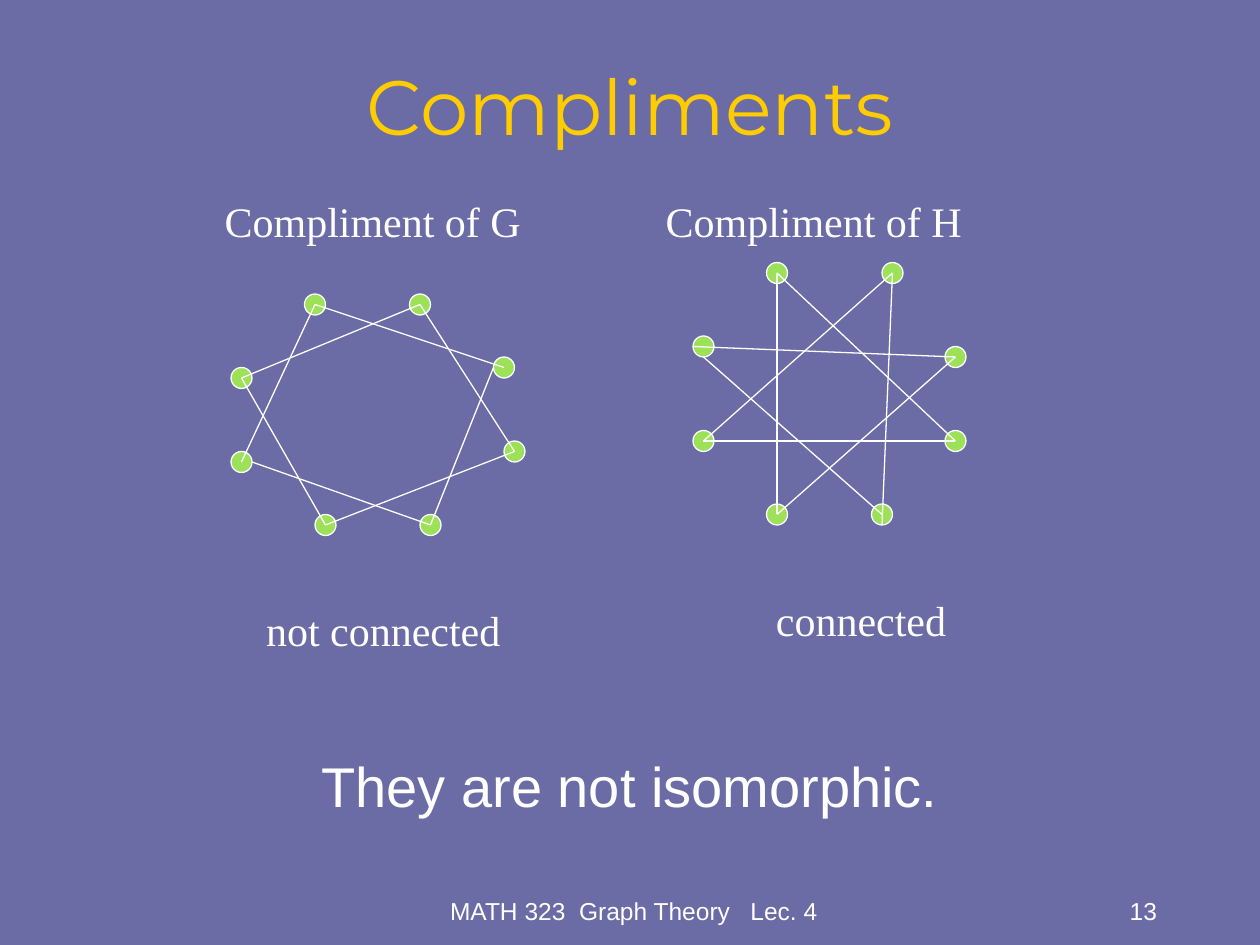
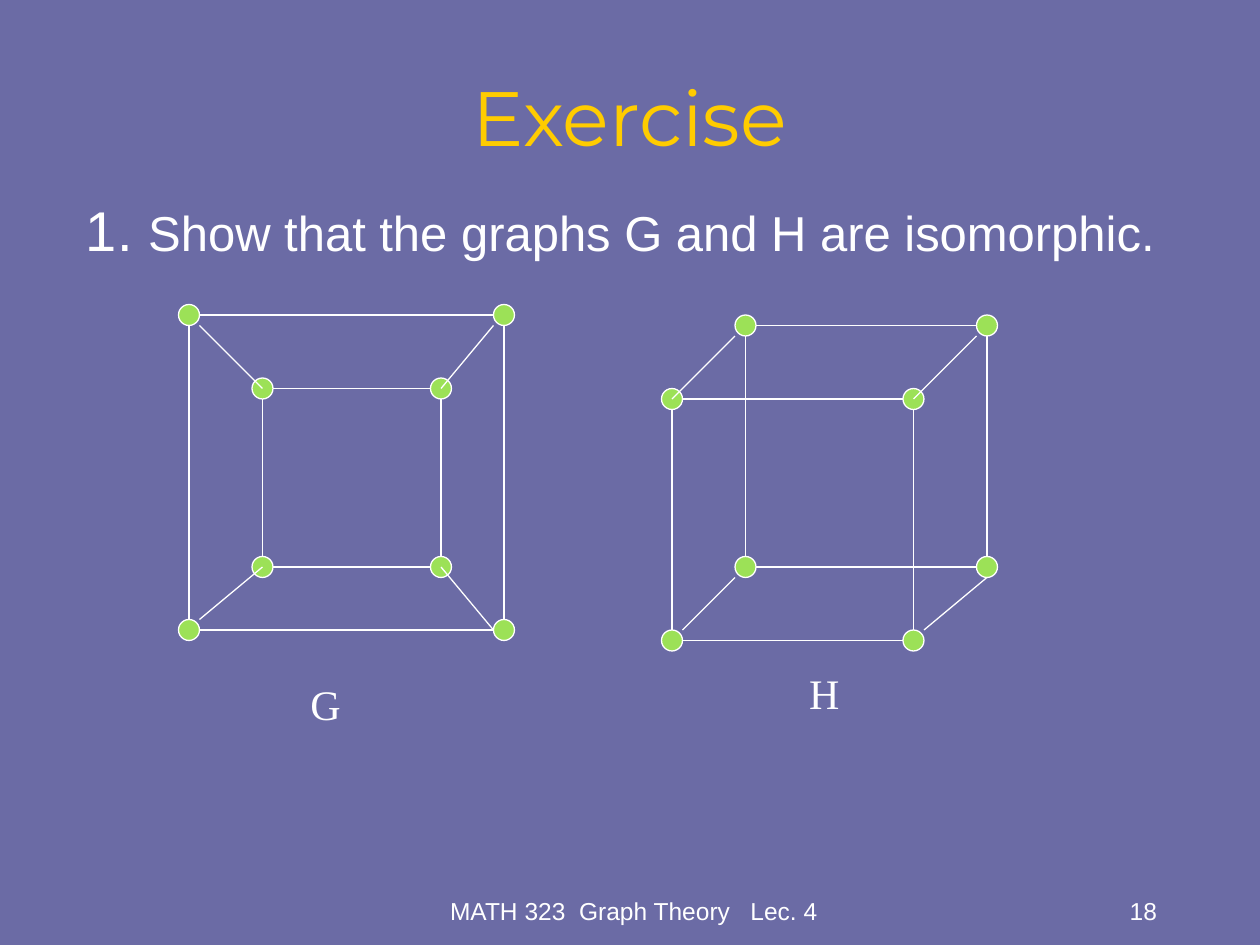
import pptx
import pptx.util
import pptx.dml.color
import pptx.enum.shapes
import pptx.enum.text
import pptx.oxml.ns
from lxml import etree

PX = 9525
WIDTH, HEIGHT = 960, 720
RADIUS = 8
COLORS = {"background": "6B6BA5", "title": "FFCC00", "text": "FFFFFF", "node": "9CE157"}
FONTS = {"title": "Montserrat", "body": "Arial", "label": "Times New Roman"}
ALIGN = pptx.enum.text.PP_ALIGN
ANCHOR = pptx.enum.text.MSO_ANCHOR

FOOTER = "MATH 323  Graph Theory   Lec. 4"
FOOTER_BOX = (331, 662, 304, 48)
NUMBER_BOX = (691, 662, 200, 48)

SQUARES = "a.r-b.l b.b-c.t d.r-c.l a.b-d.t e.r-f.l f.b-g.t h.r-g.l e.b-h.t"

SLIDES = [
    {
        "title": "Compliments",
        "title_top": 40,
        "number": "13",
        "body": [("They are not isomorphic.", 32)],
        "body_box": (72, 568, 816, 72),
        "body_align": ALIGN.CENTER,
        "graphs": [
            {
                "nodes": [(240, 232), (320, 232), (384, 280), (392, 344),
                          (328, 400), (248, 400), (184, 352), (184, 288)],
                "edges": "a-c b-d c.l-e d-f e-g.r f-h g-a h-b",
            },
            {
                "nodes": [(592, 208), (680, 208), (728, 272), (728, 336),
                          (672, 392), (592, 392), (536, 336), (536, 264)],
                "edges": "a-d b-e.b c-f d-g e-h.b f-a g-b h.l-c",
            },
        ],
        "labels": [
            ("Compliment of G", (128, 144, 312, 48)),
            ("Compliment of H", (464, 144, 312, 48)),
            ("not connected", (136, 456, 312, 48)),
            ("connected", (568, 448, 176, 48)),
        ],
    },
    {
        "title": "Exercise",
        "title_top": 48,
        "number": "18",
        "body": [("1. ", 32), ("Show that the graphs G and H are isomorphic.", 28)],
        "body_box": (56, 144, 864, 432),
        "body_align": ALIGN.LEFT,
        "graphs": [
            {
                "nodes": [(144, 240), (384, 240), (384, 480), (144, 480),
                          (200, 296), (336, 296), (336, 432), (200, 432)],
                "edges": SQUARES + " a.rb-e b.lb-f c.l-g d.rt-h",
            },
            {
                "nodes": [(568, 248), (752, 248), (752, 432), (568, 432),
                          (512, 304), (696, 304), (696, 488), (512, 488)],
                "edges": SQUARES + " a.lb-e b.lb-f c.b-g.rt d.lb-h.rt",
            },
        ],
        "labels": [
            ("G", (200, 512, 96, 48)),
            ("H", (592, 504, 72, 48)),
        ],
    },
]


def rgb(name):
    return pptx.dml.color.RGBColor.from_string(COLORS[name])


def emu(*lengths):
    return [length * PX for length in lengths]


def add_text(s, runs, box, sp=None, font="body", size=14, color="text",
             align=ALIGN.CENTER, anchor=ANCHOR.TOP):
    if sp is None:
        sp = s.shapes.add_textbox(*emu(*box))
    else:
        sp.left, sp.top, sp.width, sp.height = emu(*box)
    tf = sp.text_frame
    tf.word_wrap = True
    tf.vertical_anchor = anchor
    p = tf.paragraphs[0]
    p.alignment = align
    if isinstance(runs, str):
        runs = [(runs, size)]
    for text, points in runs:
        r = p.add_run()
        r.text = text
        r.font.name = FONTS[font]
        r.font.size = pptx.util.Pt(points)
        r.font.color.rgb = rgb(color)


def format_line(sp):
    sp.line.color.rgb = rgb("text")
    sp.line.width = pptx.util.Pt(0.75)


def add_node(s, x, y):
    sp = s.shapes.add_shape(pptx.enum.shapes.MSO_SHAPE.OVAL,
                            *emu(x - RADIUS, y - RADIUS, 2 * RADIUS, 2 * RADIUS))
    sp.shadow.inherit = False
    sp.fill.solid()
    sp.fill.fore_color.rgb = rgb("node")
    format_line(sp)


def edge_point(nodes, end):
    letter, _, side = end.partition(".")
    x, y = nodes["abcdefgh".index(letter)]
    return (x + RADIUS * (side.count("r") - side.count("l")),
            y + RADIUS * (side.count("b") - side.count("t")))


def add_graph(s, nodes, edges):
    for x, y in nodes:
        add_node(s, x, y)
    for edge in edges.split():
        start, end = (edge_point(nodes, part) for part in edge.split("-"))
        sp = s.shapes.add_connector(pptx.enum.shapes.MSO_CONNECTOR.STRAIGHT,
                                    *emu(*start, *end))
        format_line(sp)
        etree.SubElement(sp._element.spPr, pptx.oxml.ns.qn("a:effectLst"))


def add_slide(prs, content):
    s = prs.slides.add_slide(prs.slide_layouts[5])
    add_text(s, content["title"], (72, content["title_top"], 816, 80),
             sp=s.shapes.title, font="title", size=44, color="title",
             anchor=ANCHOR.MIDDLE)
    add_text(s, content["body"], content["body_box"], align=content["body_align"])
    add_text(s, FOOTER, FOOTER_BOX, anchor=ANCHOR.BOTTOM)
    add_text(s, content["number"], NUMBER_BOX, align=ALIGN.RIGHT, anchor=ANCHOR.BOTTOM)
    for graph in content["graphs"]:
        add_graph(s, **graph)
    for text, box in content["labels"]:
        add_text(s, text, box, font="label", size=24)


def main():
    prs = pptx.Presentation()
    prs.slide_width, prs.slide_height = emu(WIDTH, HEIGHT)
    fill = prs.slide_master.background.fill
    fill.solid()
    fill.fore_color.rgb = rgb("background")
    for content in SLIDES:
        add_slide(prs, content)
    prs.save("out.pptx")


if __name__ == "__main__":
    main()
